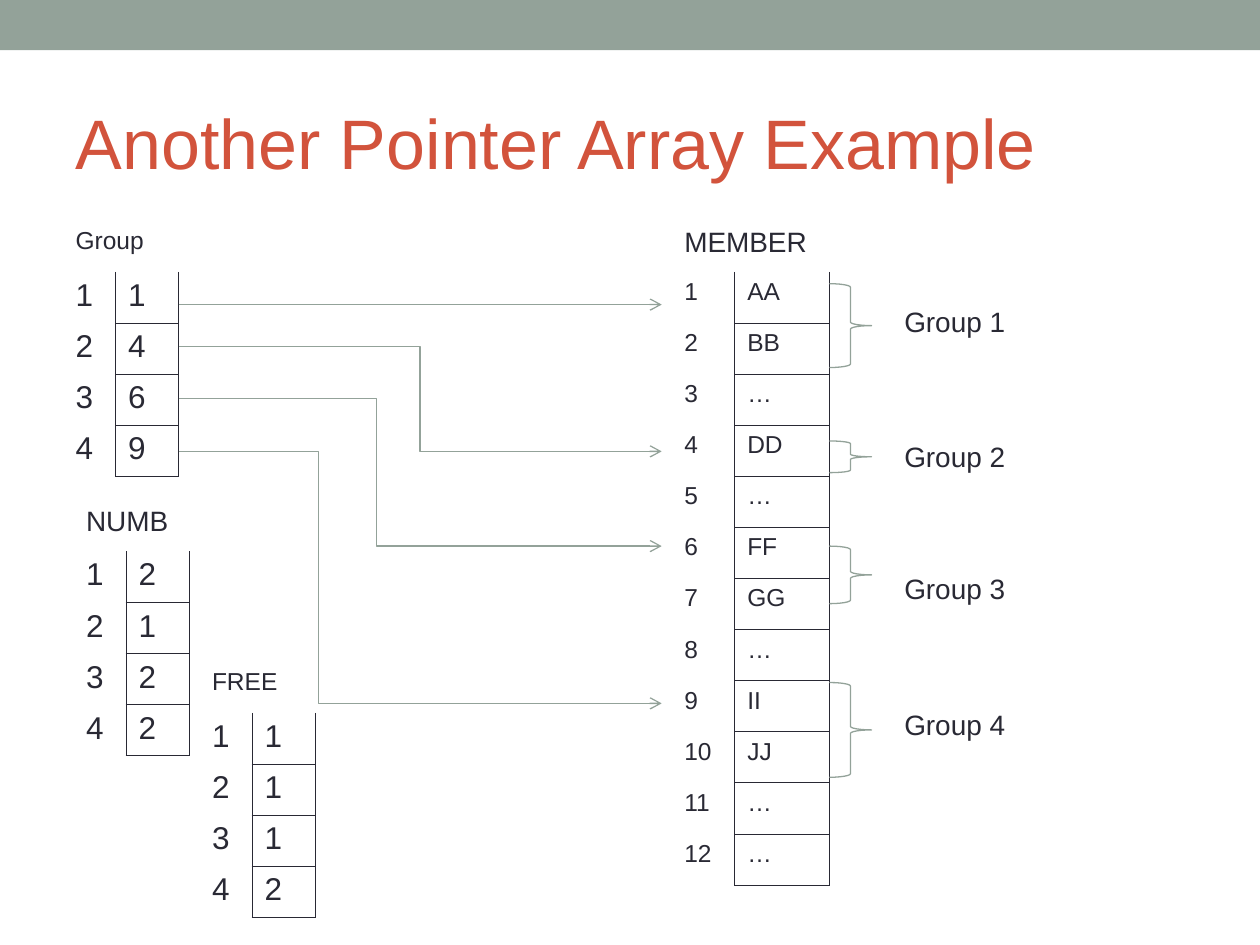
from lxml import etree
from pptx import Presentation
from pptx import util as u
from pptx.dml.color import RGBColor
from pptx.enum import shapes, text
from pptx.oxml.ns import qn

# Content (lengths in cm)
TITLE = "Another Pointer Array Example"
ARRAYS = [  # heading, heading size, value size, left, top, column widths, values
    ("Group", 14, 18, 1.27, 4.45, (1.06, 1.27), ["1", "4", "6", "9"]),
    ("MEMBER", 16, 14, 13.54, 4.45, (1.27, 1.91),
     ["AA", "BB", "…", "DD", "…", "FF", "GG", "…", "II", "JJ", "…", "…"]),
    ("NUMB", 16, 18, 1.48, 10.08, (1.06, 1.27), ["2", "1", "2", "2"]),
    ("FREE", 14, 18, 4.02, 13.34, (1.06, 1.27), ["1", "1", "1", "2"]),
]
GROUPS = [  # label, space before in points, brace top, brace height
    ("Group 1", 0, 5.72, 1.69),
    ("Group 2", 58, 8.89, 0.64),
    ("Group 3", 56, 11.01, 1.16),
    ("Group 4", 58.5, 13.76, 1.91),
]
POINTERS = [  # start y, end y, position of the bend along the width
    (6.14, 6.14, None),
    (6.99, 9.1, 0.5),
    (8.04, 11.01, 0.41),
    (9.1, 14.18, 0.29),
]
COLORS = {"accent": "93A299", "title": "D2533C", "text": "292934"}
ROW_H = 1.03
POINTER_X = (3.6, 13.34)
BRACE_X, BRACE_W = 16.72, 0.85
NO_STYLE = "{2D5ABB26-0587-4C30-8999-92F81FD0307C}"


def rgb(name):
    return RGBColor.from_string(COLORS[name])


def write(p, words, size, color="text"):
    r = p.add_run()
    r.text = words
    for key, value in {"size": u.Pt(size), "name": "Arial", "bold": False}.items():
        setattr(r.font, key, value)
    r.font.color.rgb = rgb(color)


def outline(sp):
    sp.line.color.rgb = rgb("accent")
    sp.line.width = u.Pt(0.75)


def borders(cell, sides):
    tc_pr = cell._tc.get_or_add_tcPr()
    for i, side in enumerate(sides):
        ln = etree.Element(qn(f"a:ln{side}"), w=str(u.Pt(0.45)))
        fill = etree.SubElement(ln, qn("a:solidFill"))
        etree.SubElement(fill, qn("a:srgbClr"), val=COLORS["text"])
        tc_pr.insert(i, ln)


def add_array(s, heading, head_size, size, left, top, widths, values):
    n = len(values) + 1
    tbl = s.shapes.add_table(n, 2, u.Cm(left), u.Cm(top),
                             u.Cm(sum(widths)), u.Cm(n * ROW_H)).table
    tbl._tbl.tblPr[0].text = NO_STYLE
    tbl.first_row = tbl.horz_banding = False
    for col, width in zip(tbl.columns, widths):
        col.width = u.Cm(width)
    for row in tbl.rows:
        row.height = u.Cm(ROW_H)
    for cell in tbl.iter_cells():
        cell.fill.background()
    tbl.cell(0, 0).merge(tbl.cell(0, 1))
    write(tbl.cell(0, 0).text_frame.paragraphs[0], heading, head_size)
    for i, value in enumerate(values, 1):
        for j, words in enumerate((str(i), value)):
            write(tbl.cell(i, j).text_frame.paragraphs[0], words, size)
        borders(tbl.cell(i, 0), "R")
        borders(tbl.cell(i, 1), "LRB" if i == 1 else "LRTB")


def add_pointer(s, y1, y2, bend):
    kind = shapes.MSO_CONNECTOR.ELBOW if bend else shapes.MSO_CONNECTOR.STRAIGHT
    x1, x2 = POINTER_X
    cx = s.shapes.add_connector(kind, u.Cm(x1), u.Cm(y1), u.Cm(x2), u.Cm(y2))
    outline(cx)
    sp_pr = cx._element.spPr
    etree.SubElement(sp_pr.find(qn("a:ln")), qn("a:tailEnd"), type="arrow")
    etree.SubElement(sp_pr, qn("a:effectLst"))
    if bend:
        guides = sp_pr.find(qn("a:prstGeom")).get_or_add_avLst()
        etree.SubElement(guides, qn("a:gd"), name="adj1", fmla=f"val {round(bend * 100000)}")


prs = Presentation()
prs.slide_width, prs.slide_height = u.Cm(25.4), u.Cm(19.05)
s = prs.slides.add_slide(prs.slide_layouts[5])

# Top band
band = s.shapes.add_shape(shapes.MSO_SHAPE.RECTANGLE, 0, 0, prs.slide_width, u.Cm(1.01))
band.shadow.inherit = False
band.fill.solid()
band.fill.fore_color.rgb = rgb("accent")
band.line.fill.background()

# Title
title = s.shapes.title
for key, value in {"left": 1.27, "top": 1.48, "width": 22.86, "height": 2.74}.items():
    setattr(title, key, u.Cm(value))
tf = title.text_frame
tf.vertical_anchor = text.MSO_ANCHOR.MIDDLE
tf.paragraphs[0].alignment = text.PP_ALIGN.LEFT
write(tf.paragraphs[0], TITLE, 40, "title")

# Arrays
for array in ARRAYS:
    add_array(s, *array)

# Braces and group labels
tf = s.shapes.add_textbox(u.Cm(17.98), u.Cm(5.28), u.Cm(2.75), u.Cm(9.65)).text_frame
tf.word_wrap = True
tf.margin_top = u.Cm(0.86)
for i, (label, gap, top, height) in enumerate(GROUPS):
    sp = s.shapes.add_shape(shapes.MSO_SHAPE.RIGHT_BRACE, u.Cm(BRACE_X), u.Cm(top),
                            u.Cm(BRACE_W), u.Cm(height))
    sp.shadow.inherit = False
    sp.fill.background()
    outline(sp)
    p = tf.add_paragraph() if i else tf.paragraphs[0]
    p.space_before = u.Pt(gap)
    write(p, label, 16)

# Pointers from Group to MEMBER
for pointer in POINTERS:
    add_pointer(s, *pointer)

prs.save("out.pptx")
